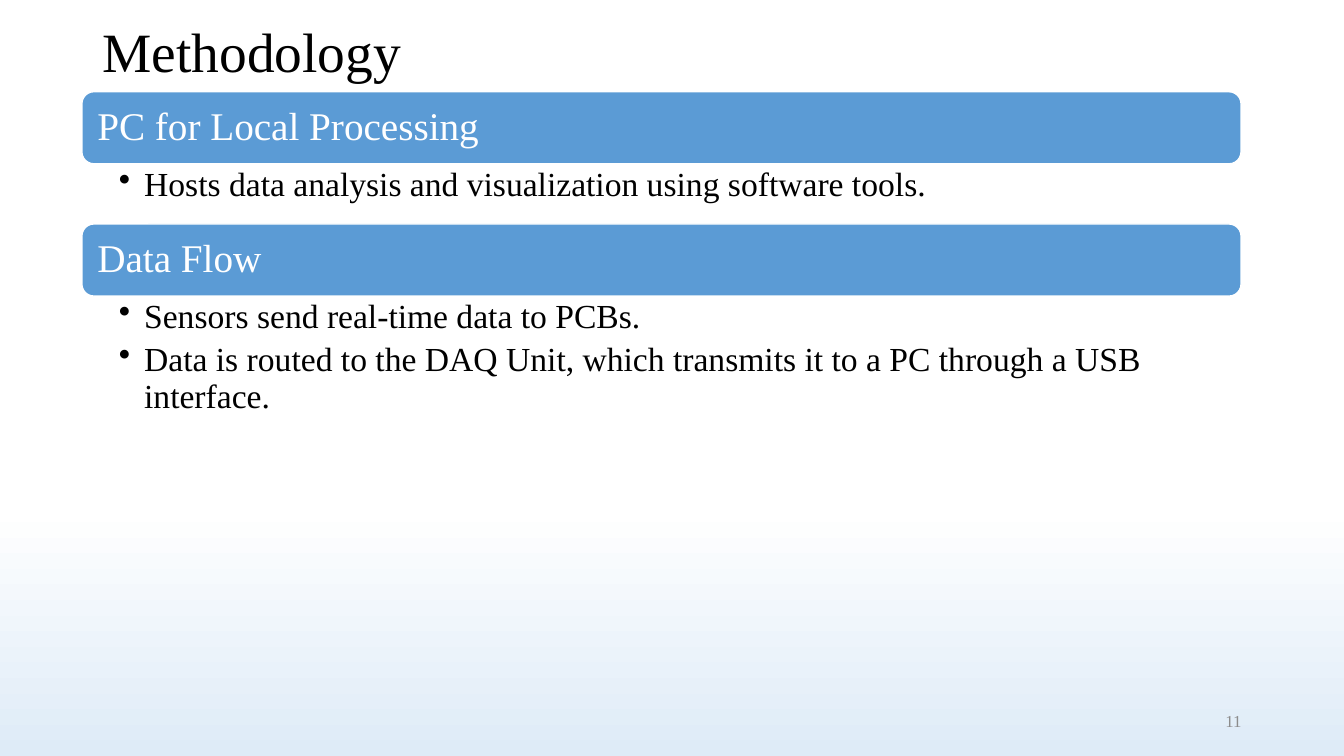
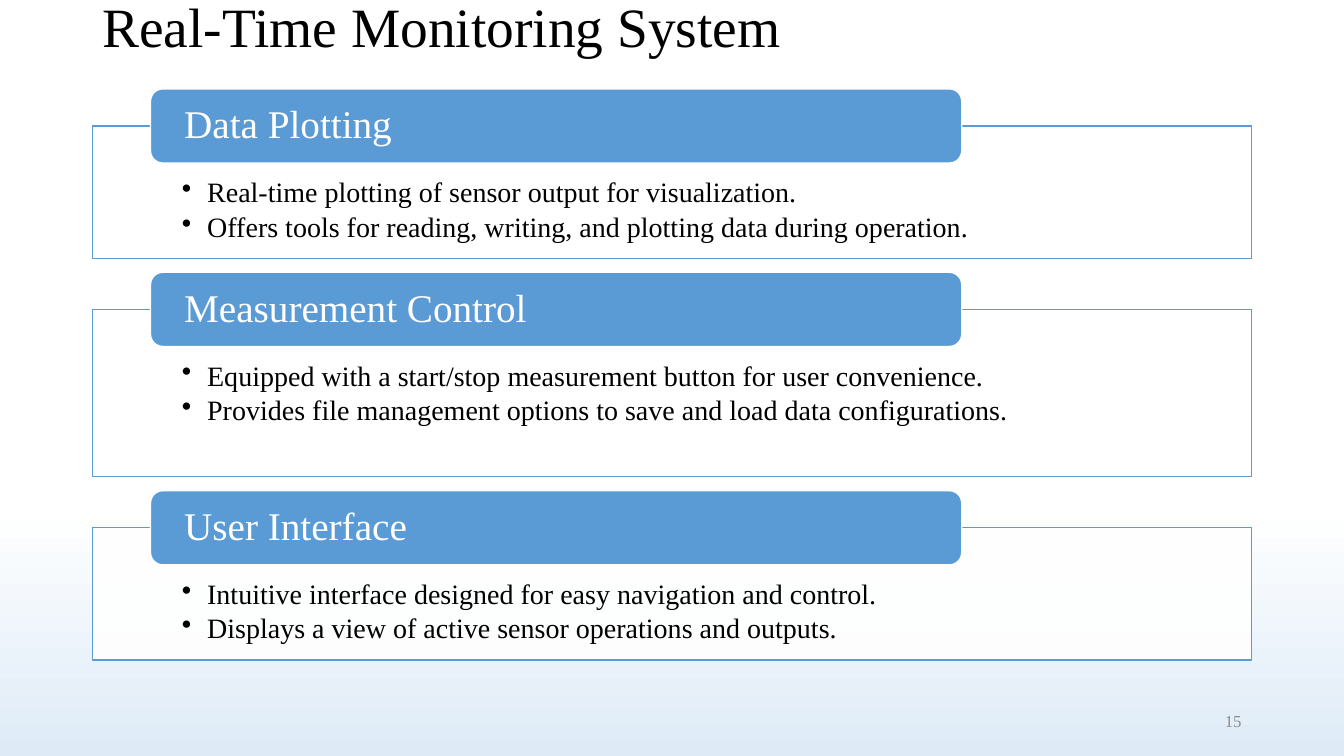
import pptx
import pptx.util
import pptx.dml.color
import pptx.enum.shapes
import pptx.enum.text
import pptx.oxml.ns
import lxml.etree

Pt = pptx.util.Pt
ALIGN = pptx.enum.text.PP_ALIGN
ANCHOR = pptx.enum.text.MSO_ANCHOR
SHAPE = pptx.enum.shapes.MSO_SHAPE

COLORS = {"blue": "5B9BD5", "pale": "DEEBF7", "white": "FFFFFF", "black": "000000", "gray": "8C8C8C"}
FONT = "Times New Roman"
WIDTH, HEIGHT = 960, 540
CONTENT_W = 828
MARGIN = 66

TITLE = {"size": 39.6, "color": "black", "anchor": ANCHOR.MIDDLE, "spacing": 0.9}
NUMBER = {"size": 12, "color": "gray", "anchor": ANCHOR.MIDDLE, "align": ALIGN.RIGHT}
LIST_HEADER = {"size": 28, "color": "white", "anchor": ANCHOR.MIDDLE, "spacing": 0.9,
               "insets": (8.5, 8.5, 8.5, 8.5)}
FRAME_HEADER = {**LIST_HEADER, "insets": (21.5, 0, 21.5, 0)}
LIST_BODY = {"size": 24, "color": "black", "spacing": 0.9, "after": 5, "bullet": True,
             "insets": (26.5, 2.5, 13.5, 2.5)}
FRAME_BODY = {**LIST_BODY, "size": 20, "after": 3, "insets": (64, 37.5, 64, 11.5)}

METHODOLOGY = [
    ("PC for Local Processing", 43, ["Hosts data analysis and visualization using software tools."]),
    ("Data Flow", 86, [
        "Sensors send real-time data to PCBs.",
        "Data is routed to the DAQ Unit, which transmits it to a PC through a USB interface."]),
]
MONITORING = [
    ("Data Plotting", 94.5, [
        "Real-time plotting of sensor output for visualization.",
        "Offers tools for reading, writing, and plotting data during operation."]),
    ("Measurement Control", 119.5, [
        "Equipped with a start/stop measurement button for user convenience.",
        "Provides file management options to save and load data configurations."]),
    ("User Interface", 94.5, [
        "Intuitive interface designed for easy navigation and control.",
        "Displays a view of active sensor operations and outputs."]),
]


def rgb(name):
    return pptx.dml.color.RGBColor.from_string(COLORS[name])


def add_bullet(p):
    pPr = p._p.get_or_add_pPr()
    pPr.set("marL", str(Pt(18)))
    pPr.set("indent", str(-Pt(18)))
    lxml.etree.SubElement(pPr, pptx.oxml.ns.qn("a:buChar")).set("char", "•")


def write_text(sp, lines, style):
    tf = sp.text_frame
    frame_format = {"word_wrap": True, "auto_size": pptx.enum.text.MSO_AUTO_SIZE.NONE,
                    "vertical_anchor": style.get("anchor", ANCHOR.TOP)}
    sides = ("margin_left", "margin_top", "margin_right", "margin_bottom")
    frame_format.update(zip(sides, map(Pt, style.get("insets", (7.2, 3.6, 7.2, 3.6)))))
    for name, value in frame_format.items():
        setattr(tf, name, value)
    for i, line in enumerate(lines):
        p = tf.add_paragraph() if i else tf.paragraphs[0]
        if style.get("bullet"):
            add_bullet(p)
        paragraph_format = {"alignment": style.get("align", ALIGN.LEFT),
                            "line_spacing": style.get("spacing", 1.0),
                            "space_before": Pt(0), "space_after": Pt(style.get("after", 0))}
        for name, value in paragraph_format.items():
            setattr(p, name, value)
        r = p.add_run()
        r.text = line
        for name, value in {"name": FONT, "size": Pt(style["size"])}.items():
            setattr(r.font, name, value)
        r.font.color.rgb = rgb(style["color"])


def add_text(s, box, lines, style):
    sp = s.shapes.add_textbox(*map(Pt, box))
    write_text(sp, lines, style)


def add_box(s, kind, box, fill, line, lines, style):
    sp = s.shapes.add_shape(kind, *map(Pt, box))
    sp.shadow.inherit = False
    sp.fill.solid()
    sp.fill.fore_color.rgb = rgb(fill)
    sp.line.color.rgb = rgb(line)
    sp.line.width = Pt(1)
    write_text(sp, lines, style)
    return sp


def add_header(s, box, text, style):
    add_box(s, SHAPE.ROUNDED_RECTANGLE, box, "blue", "white", [text], style)


def add_frame(s, box, lines):
    sp = add_box(s, SHAPE.RECTANGLE, box, "white", "blue", lines, FRAME_BODY)
    color = sp._element.spPr.find(pptx.oxml.ns.qn("a:solidFill"))[0]
    lxml.etree.SubElement(color, pptx.oxml.ns.qn("a:alpha")).set("val", "90000")


def set_background(master):
    fill = master.background.fill
    fill.gradient()
    fill.gradient_angle = 270
    for stop, position, name in zip(fill.gradient_stops, (0.67, 1), ("white", "pale")):
        stop.position = position
        stop.color.rgb = rgb(name)


def add_slide(prs, title, top, height, number):
    s = prs.slides.add_slide(prs.slide_layouts[5])
    sp = s.shapes.title
    position = {"left": MARGIN, "top": top, "width": CONTENT_W, "height": height}
    for name, value in position.items():
        setattr(sp, name, Pt(value))
    write_text(sp, [title], TITLE)
    add_text(s, (678, 500.5, 216, 28.5), [str(number)], NUMBER)
    return s


def add_header_list(s, sections):
    left, y, header_h = 58.5, 65.5, 51.5
    for heading, body_h, lines in sections:
        add_header(s, (left, y, CONTENT_W, header_h), heading, LIST_HEADER)
        add_text(s, (left, y + header_h, CONTENT_W, body_h), lines, LIST_BODY)
        y += header_h + body_h


def add_framed_list(s, sections):
    y, header_h, gap = 90, 53, 36.5
    for heading, frame_h, lines in sections:
        add_frame(s, (MARGIN, y, CONTENT_W, frame_h), lines)
        add_header(s, (107.5, y - header_h / 2, 579.5, header_h), heading, FRAME_HEADER)
        y += frame_h + gap


def main():
    prs = pptx.Presentation()
    prs.slide_width, prs.slide_height = Pt(WIDTH), Pt(HEIGHT)
    set_background(prs.slide_master)
    add_header_list(add_slide(prs, "Methodology", 13.5, 51, 11), METHODOLOGY)
    add_framed_list(add_slide(prs, "Real-Time Monitoring System", 0, 42, 15), MONITORING)
    prs.save("out.pptx")


if __name__ == "__main__":
    main()
